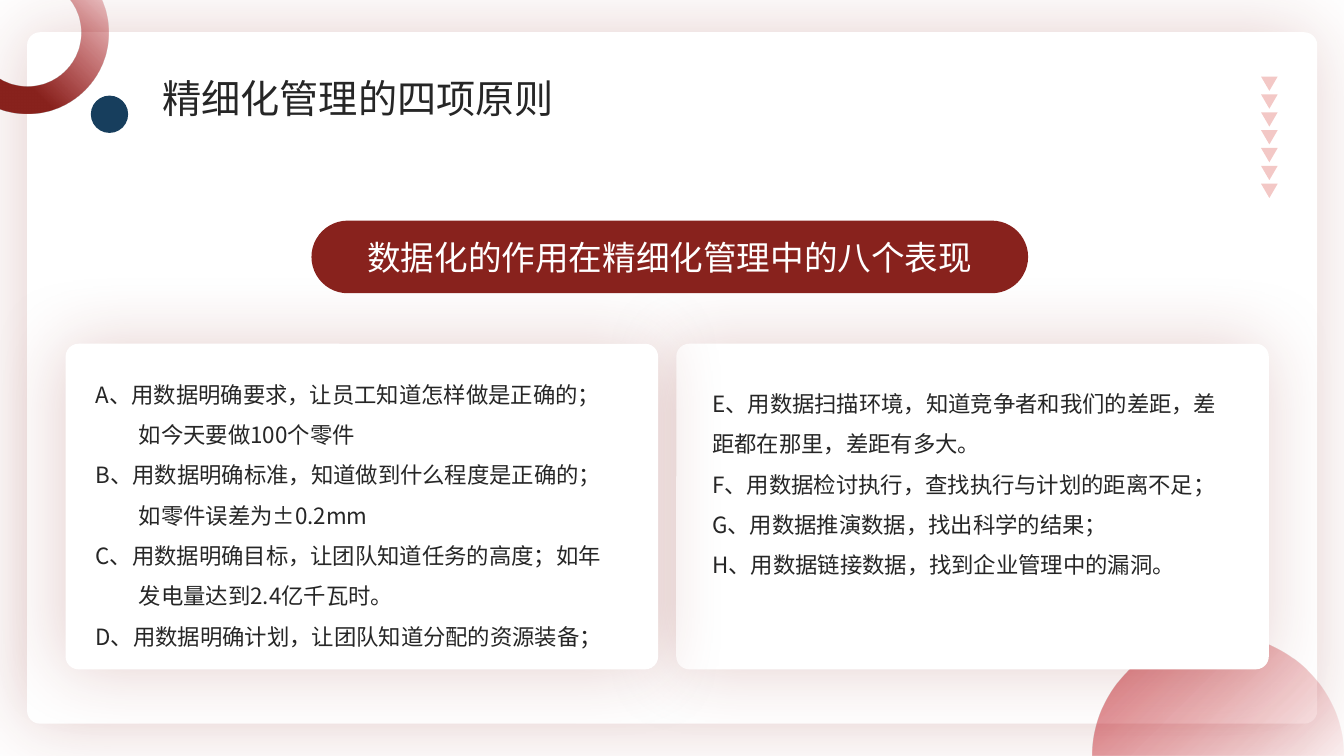
from math import cos, pi, sin

from lxml import etree
from pptx import Presentation
from pptx.dml.color import RGBColor
from pptx.enum.shapes import MSO_SHAPE
from pptx.enum.text import MSO_ANCHOR, PP_ALIGN
from pptx.oxml import parse_xml
from pptx.oxml.ns import nsdecls, qn
from pptx.util import Cm, Pt

ROUND = MSO_SHAPE.ROUNDED_RECTANGLE
OVAL = MSO_SHAPE.OVAL
DONUT = MSO_SHAPE.DONUT
WEDGE = MSO_SHAPE.FLOWCHART_MERGE
TOP, MIDDLE = MSO_ANCHOR.TOP, MSO_ANCHOR.MIDDLE
LEFT, CENTER = PP_ALIGN.LEFT, PP_ALIGN.CENTER

FONT = "Noto Sans CJK SC"
RED, CRIMSON, NAVY = "88221D", "B9000B", "173E5D"
PINK, WHITE, INK = "F3C8C6", "FFFFFF", "262626"


def rgb(code):
    return RGBColor.from_string(code)


class Deck:
    def __init__(self, wide, high):
        self.prs = Presentation()
        self.prs.slide_width, self.prs.slide_height = Cm(wide), Cm(high)
        self.slide = self.prs.slides.add_slide(self.prs.slide_layouts[5])
        self.shapes = self.slide.shapes

    def paint(self, item, fill):
        item.shadow.inherit = False
        item.fill.solid()
        item.fill.fore_color.rgb = rgb(fill)
        item.line.fill.background()
        return item

    def shape(self, kind, x, y, w, h, fill, adj=None):
        item = self.shapes.add_shape(kind, Cm(x), Cm(y), Cm(w), Cm(h))
        if adj is not None:
            item.adjustments[0] = adj
        return self.paint(item, fill)

    def card(self, x, y, w, h):
        """White rounded card with a wide red glow."""
        item = self.shape(ROUND, x, y, w, h, WHITE, 0.3 / h)
        item.line.color.rgb = rgb(WHITE)
        item.line.width = Pt(1.5)
        glow = item._element.spPr.find(qn("a:effectLst"))
        glow.append(parse_xml(
            f'<a:outerShdw {nsdecls("a")} blurRad="{Pt(54)}" dist="{Pt(3)}" '
            f'dir="10800000" algn="r" rotWithShape="0"><a:srgbClr val="{RED}">'
            '<a:alpha val="22000"/></a:srgbClr></a:outerShdw>'))

    def fade(self, item, angle, stops):
        """Gradient fill; stops are (position, colour, opacity) in percent."""
        marks = "".join(
            f'<a:gs pos="{pos * 1000}"><a:srgbClr val="{code}">'
            f'<a:alpha val="{alpha * 1000}"/></a:srgbClr></a:gs>'
            for pos, code, alpha in stops)
        grad = parse_xml(
            f'<a:gradFill {nsdecls("a")} rotWithShape="1"><a:gsLst>{marks}</a:gsLst>'
            f'<a:lin ang="{angle * 60000}" scaled="0"/></a:gradFill>')
        props = item._element.spPr
        props.replace(props.find(qn("a:solidFill")), grad)

    def dome(self, x, y, w, h, fill):
        """Upper half of an ellipse."""
        steps = 90
        dots = [(Cm(x + w / 2 * (1 - cos(pi * i / steps))),
                 Cm(y + h * (1 - sin(pi * i / steps)))) for i in range(steps + 1)]
        curve = self.shapes.build_freeform(*dots[0])
        curve.add_line_segments(dots[1:], close=True)
        return self.paint(curve.convert_to_shape(), fill)

    def label(self, item, lines, size, color, align=LEFT, anchor=TOP, space=None, hang=0):
        frame = item.text_frame
        frame.word_wrap = True
        frame.vertical_anchor = anchor
        frame.text = "\n".join(lines)
        for para in frame.paragraphs:
            para.alignment = align
            if space:
                para.line_spacing = space
            if hang:
                props = para._p.get_or_add_pPr()
                props.set("marL", str(Cm(hang)))
                props.set("indent", str(-Cm(hang)))
            for run in para.runs:
                run.font.name = FONT
                run.font.size = Pt(size)
                run.font.color.rgb = rgb(color)
                mark = run._r.get_or_add_rPr()
                mark.set("lang", "zh-CN")
                etree.SubElement(mark, qn("a:ea")).set("typeface", FONT)

    def text(self, x, y, w, h, lines, size, color, **style):
        box = self.shapes.add_textbox(Cm(x), Cm(y), Cm(w), Cm(h))
        self.label(box, lines, size, color, **style)

    def title(self, x, y, w, h, line, size, color):
        item = self.shapes.title
        item.left, item.top, item.width, item.height = Cm(x), Cm(y), Cm(w), Cm(h)
        self.label(item, [line], size, color)
        self.shapes._spTree.append(item._element)  # bring to front


def main():
    deck = Deck(33.87, 19.05)

    # Backdrop
    deck.card(0.71, 0.84, 32.46, 17.37)
    ring = deck.shape(DONUT, -1.35, -1.22, 4.09, 4.09, RED, 0.17)
    deck.fade(ring, 315, [(34, RED, 100), (100, CRIMSON, 0)])
    deck.shape(OVAL, 2.29, 2.41, 0.94, 0.94, NAVY)
    dome = deck.dome(27.53, 15.98, 6.33, 3.07, CRIMSON)
    deck.fade(dome, 45, [(2, CRIMSON, 54), (100, CRIMSON, 5)])
    for i in range(7):
        deck.shape(WEDGE, 31.78, 1.93 + 0.45 * i, 0.42, 0.36, PINK)

    # Right card
    deck.card(17.07, 8.69, 14.88, 8.15)
    deck.text(17.7, 9.37, 13.28, 5.28, [
        "E、用数据扫描环境，知道竞争者和我们的差距，差距都在那里，差距有多大。",
        "F、用数据检讨执行，查找执行与计划的距离不足；",
        "G、用数据推演数据，找出科学的结果；",
        "H、用数据链接数据，找到企业管理中的漏洞。",
    ], 16, INK, space=1.5)

    # Left card
    deck.card(1.68, 8.69, 14.88, 8.15)
    deck.text(2.16, 9.14, 13.36, 7.34, [
        "A、用数据明确要求，让员工知道怎样做是正确的；如今天要做100个零件",
        "B、用数据明确标准，知道做到什么程度是正确的；如零件误差为±0.2mm",
        "C、用数据明确目标，让团队知道任务的高度；如年发电量达到2.4亿千瓦时。",
        "D、用数据明确计划，让团队知道分配的资源装备；",
    ], 16, INK, space=1.5, hang=1.09)

    # Headings
    pill = deck.shape(ROUND, 7.85, 5.56, 18.06, 1.83, RED, 0.5)
    deck.label(pill, ["数据化的作用在精细化管理中的八个表现"], 24, WHITE, CENTER, MIDDLE)
    deck.title(3.84, 1.75, 15.82, 1.45, "精细化管理的四项原则", 28, INK)

    deck.prs.save("out.pptx")


if __name__ == "__main__":
    main()
